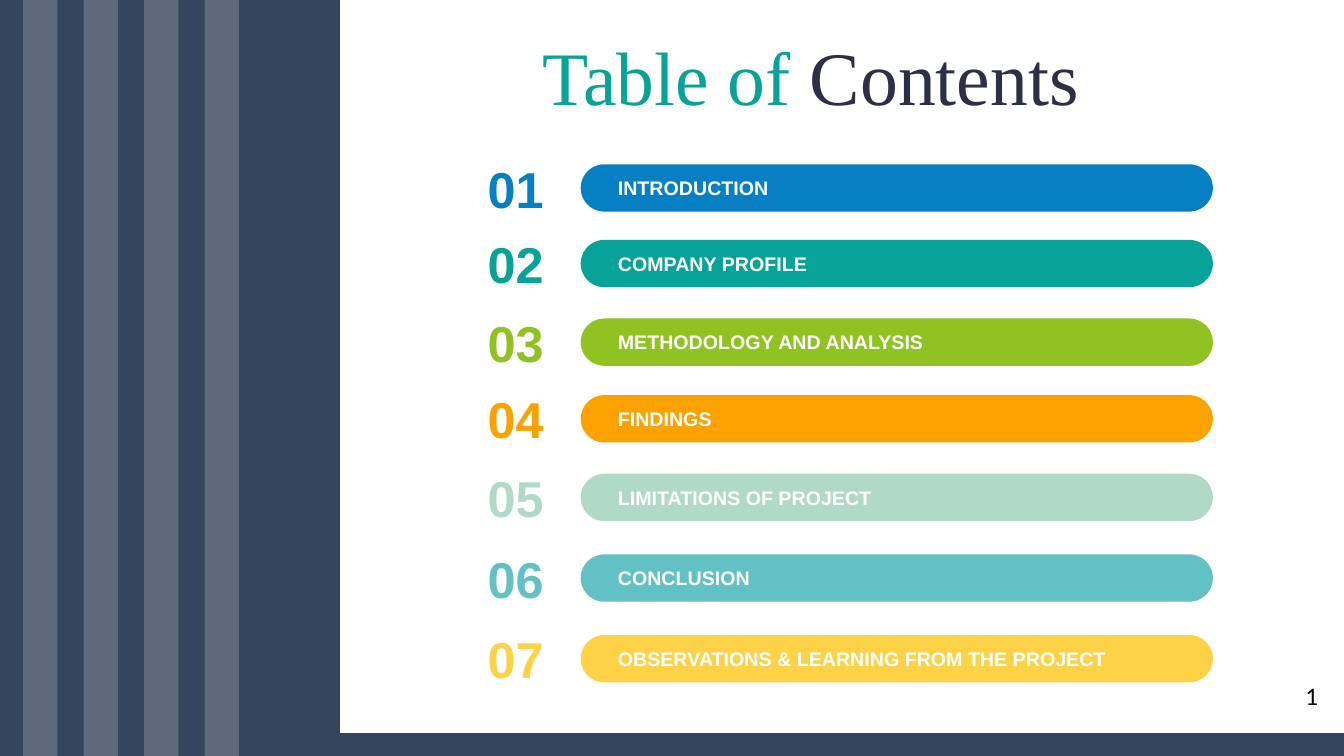
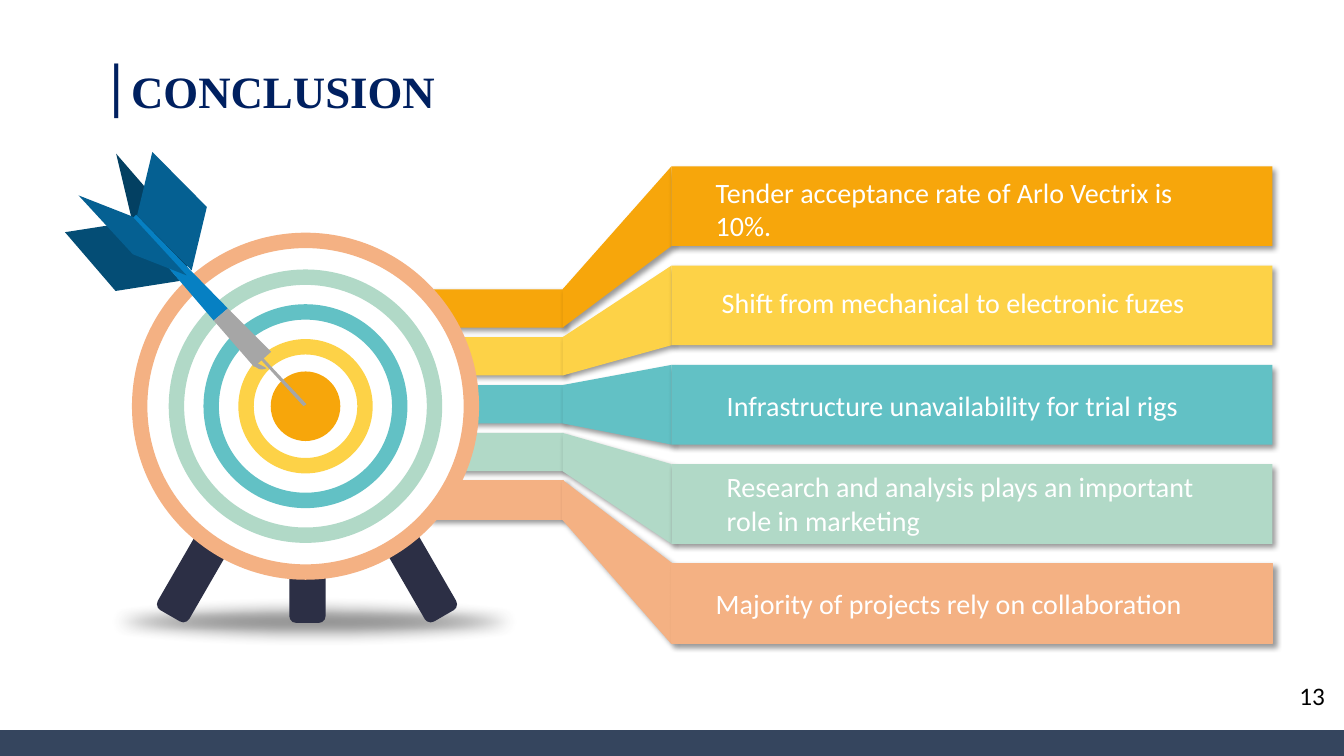
from lxml import etree
from pptx import Presentation
from pptx.dml.color import RGBColor
from pptx.enum.shapes import MSO_SHAPE
from pptx.enum.text import MSO_ANCHOR, PP_ALIGN
from pptx.oxml.ns import qn
from pptx.util import Inches, Pt

RECT = MSO_SHAPE.RECTANGLE
ROUND = MSO_SHAPE.ROUNDED_RECTANGLE
OVAL = MSO_SHAPE.OVAL
CHORD = MSO_SHAPE.CHORD
FIN = MSO_SHAPE.PARALLELOGRAM
MID = MSO_ANCHOR.MIDDLE
TOP = MSO_ANCHOR.TOP
LEFT = PP_ALIGN.LEFT
CENTER = PP_ALIGN.CENTER


class Theme:
    slate, white, black, dark = "35455E", "FFFFFF", "000000", "2C2F45"
    stripe, dim, navy, gray = "D9D9D9", "404040", "002060", "A6A6A6"
    blue, teal, green, orange = "0680C3", "07A398", "90C221", "FBA200"
    mint, aqua, yellow = "B1D9C7", "62C1C5", "FDD247"
    amber, peach = "F7A60B", "F4B183"
    ink, deep, wing = "034062", "044D75", "056092"
    serif = {"name": "Times New Roman", "size": Pt(54)}
    head = {"name": "Times New Roman", "size": Pt(32), "bold": True}
    bar = {"name": "Calibri", "size": Pt(44)}
    count = {"name": "Arial", "size": Pt(36), "bold": True}
    label = {"name": "Arial", "size": Pt(14), "bold": True}
    body = {"name": "Calibri", "size": Pt(20)}
    page = {"name": "Calibri", "size": Pt(18)}


def paint(shape, fill, line=None, width=1, alpha=None, effect=None, attrs=None):
    shape.shadow.inherit = False
    shape.fill.solid()
    shape.fill.fore_color.rgb = RGBColor.from_string(fill)
    if line:
        shape.line.color.rgb = RGBColor.from_string(line)
        shape.line.width = Pt(width)
    else:
        shape.line.fill.background()
    props = shape.element.spPr
    if alpha:
        tone = props.find(qn("a:solidFill"))[0]
        etree.SubElement(tone, qn("a:alpha"), val=str(alpha * 1000))
    if effect:
        node = etree.SubElement(props.find(qn("a:effectLst")), qn(effect), attrs)
        if effect == "a:outerShdw":
            tone = etree.SubElement(node, qn("a:srgbClr"), val=Theme.black)
            etree.SubElement(tone, qn("a:alpha"), val="40000")


def write(shape, runs, anchor=TOP, align=LEFT, side=0.1, space=None):
    frame = shape.text_frame
    frame.word_wrap = True
    frame.vertical_anchor = anchor
    frame.margin_left = Inches(side)
    para = frame.paragraphs[0]
    para.alignment = align
    para.line_spacing = space
    for text, style, color in runs:
        run = para.add_run()
        run.text = text
        for key, value in style.items():
            setattr(run.font, key, value)
        run.font.color.rgb = RGBColor.from_string(color)


deck = Presentation()
deck.slide_width, deck.slide_height = Inches(13.33), Inches(7.5)
pages = []
for number, left, width, top in [("1", 12.85, 0.37, 7.28), ("13", 12.79, 0.54, 7.25)]:
    shapes = deck.slides.add_slide(deck.slide_layouts[6]).shapes
    band = shapes.add_shape(RECT, 0, Inches(top), deck.slide_width, Inches(0.24))
    paint(band, Theme.slate, Theme.slate)
    box = shapes.add_textbox(Inches(left), Inches(6.7), Inches(width), Inches(0.4))
    write(box, [(number, Theme.page, Theme.black)])
    pages.append(shapes)
toc, end = pages

panel = toc.add_shape(RECT, 0, 0, Inches(3.37), deck.slide_height)
paint(panel, Theme.slate, Theme.slate)
for i in range(4):
    stripe = toc.add_shape(RECT, Inches(0.23 + 0.6 * i), 0, Inches(0.34), deck.slide_height)
    paint(stripe, Theme.stripe, alpha=25)

title = toc.add_textbox(Inches(5.28), Inches(0.24), Inches(7.22), Inches(1.01))
write(title, [("Table of", Theme.serif, Theme.teal),
              (" Contents", Theme.serif, Theme.dark)], MID)

topics = [
    ("INTRODUCTION", 1.63, Theme.blue),
    ("COMPANY PROFILE", 2.38, Theme.teal),
    ("METHODOLOGY AND ANALYSIS", 3.16, Theme.green),
    ("FINDINGS", 3.92, Theme.orange),
    ("LIMITATIONS OF PROJECT", 4.7, Theme.mint),
    ("CONCLUSION", 5.5, Theme.aqua),
    ("OBSERVATIONS & LEARNING FROM THE PROJECT", 6.3, Theme.yellow),
]
for i, (text, top, color) in enumerate(topics, 1):
    count = toc.add_textbox(Inches(4.59), Inches(top - 0.12), Inches(1.05), Inches(0.71))
    write(count, [(f"{i:02}", Theme.count, color)], MID, CENTER)
    pill = toc.add_shape(ROUND, Inches(5.76), Inches(top), Inches(6.27), Inches(0.47))
    pill.adjustments[0] = 0.5
    paint(pill, color)
    write(pill, [(text, Theme.label, Theme.white)], MID, side=0.3)

title = end.add_textbox(Inches(0.92), Inches(0.15), Inches(11.5), Inches(1.45))
write(title, [("|", Theme.bar, Theme.navy),
              ("CONCLUSION", Theme.head, Theme.navy)], MID, space=0.9)

drop = {"effect": "a:outerShdw",
        "attrs": {"blurRad": str(Pt(4)), "dist": str(Pt(3)), "dir": "2700000",
                  "algn": "tl", "rotWithShape": "0"}}
points = [
    ("Tender acceptance rate of Arlo Vectrix is 10%.", Theme.amber, None, 7, 1.69, 4.95),
    ("Shift from mechanical to electronic fuzes", Theme.yellow, None, 7.06, 2.78, 4.89),
    ("Infrastructure unavailability for trial rigs", Theme.aqua, None, 7.11, 3.81, 4.73),
    ("Research and analysis plays an important role in marketing",
     Theme.mint, None, 7.11, 4.61, 4.84),
    ("Majority of projects rely on collaboration", Theme.peach, Theme.peach, 7, 5.77, 4.95),
]
bend, edge, thin, tall = 5.58, 6.66, 0.38, 0.79
for i, (text, color, line, left, top, width) in enumerate(points):
    low, high = 2.87 + 0.475 * i, 1.65 + 0.985 * i
    stub = end.add_shape(RECT, Inches(4.25), Inches(low), Inches(1.34), Inches(thin))
    paint(stub, color, line, **drop)
    spots = [(Inches(x), Inches(y)) for x, y in
             [(edge, high), (bend, low), (bend, low + thin), (edge, high + tall)]]
    pen = end.build_freeform(*spots[0])
    pen.add_line_segments(spots[1:])
    paint(pen.convert_to_shape(), color, line, **drop)
    card = end.add_shape(RECT, Inches(edge), Inches(high), Inches(5.96), Inches(tall))
    paint(card, color, line, **drop)
    box = end.add_textbox(Inches(left), Inches(top), Inches(width), Inches(0.44))
    write(box, [(text, Theme.body, Theme.white)])

floor = end.add_shape(OVAL, Inches(0.61), Inches(5.92), Inches(5.01), Inches(0.49))
paint(floor, Theme.dim, alpha=58, effect="a:softEdge", attrs={"rad": str(Inches(0.14))})
for left, top, turn in [(2.87, 3.93, 0), (3.66, 4.01, 330), (2.07, 4.01, 30)]:
    leg = end.add_shape(ROUND, Inches(left), Inches(top), Inches(0.36), Inches(2.25))
    leg.adjustments[0] = 0.19
    leg.rotation = turn
    paint(leg, Theme.dark)

rings = [(3.29, Theme.white, Theme.peach), (2.56, Theme.white, Theme.mint),
         (1.87, Theme.white, Theme.aqua), (1.18, Theme.white, Theme.yellow),
         (0.69, Theme.amber, None)]
for size, fill, line in rings:
    ring = end.add_shape(OVAL, Inches(3.03 - size / 2), Inches(4.03 - size / 2),
                         Inches(size), Inches(size))
    paint(ring, fill, line, 11)

dart = [
    (FIN, (0.78, 2.04, 1.5, 0.3), 229.1, True, [1.92], Theme.ink),
    (None, [(3.04, 4.01), (2.59, 3.53), (2.57, 3.55), (3.01, 4.03)], 0, False, [], Theme.gray),
    (FIN, (0.66, 2.27, 1.11, 0.55), 229.3, False, [0.62], Theme.deep),
    (FIN, (1.15, 1.82, 1.11, 0.55), 225.3, True, [0.62], Theme.wing),
    (None, [(2.26, 3.06), (1.35, 2.13), (1.28, 2.2), (2.12, 3.18)], 0, False, [], Theme.blue),
    (CHORD, (2.51, 3.46, 0.19, 0.21), 47.3, True, [32.35, 97.2], Theme.gray),
    (None, [(2.69, 3.49), (2.26, 3.06), (2.12, 3.18), (2.52, 3.64)], 0, False, [], Theme.gray),
    (FIN, (0.66, 2.21, 1.31, 0.25), 227.3, False, [2.06], Theme.wing),
]
for kind, place, turn, flip, bends, color in dart:
    if kind is None:
        spots = [(Inches(x), Inches(y)) for x, y in place]
        pen = end.build_freeform(*spots[0])
        pen.add_line_segments(spots[1:])
        part = pen.convert_to_shape()
    else:
        part = end.add_shape(kind, *map(Inches, place))
        part.rotation = turn
        for i, value in enumerate(bends):
            part.adjustments[i] = value
        if flip:
            part.element.spPr.xfrm.set("flipH", "1")
    paint(part, color)

deck.save("out.pptx")
